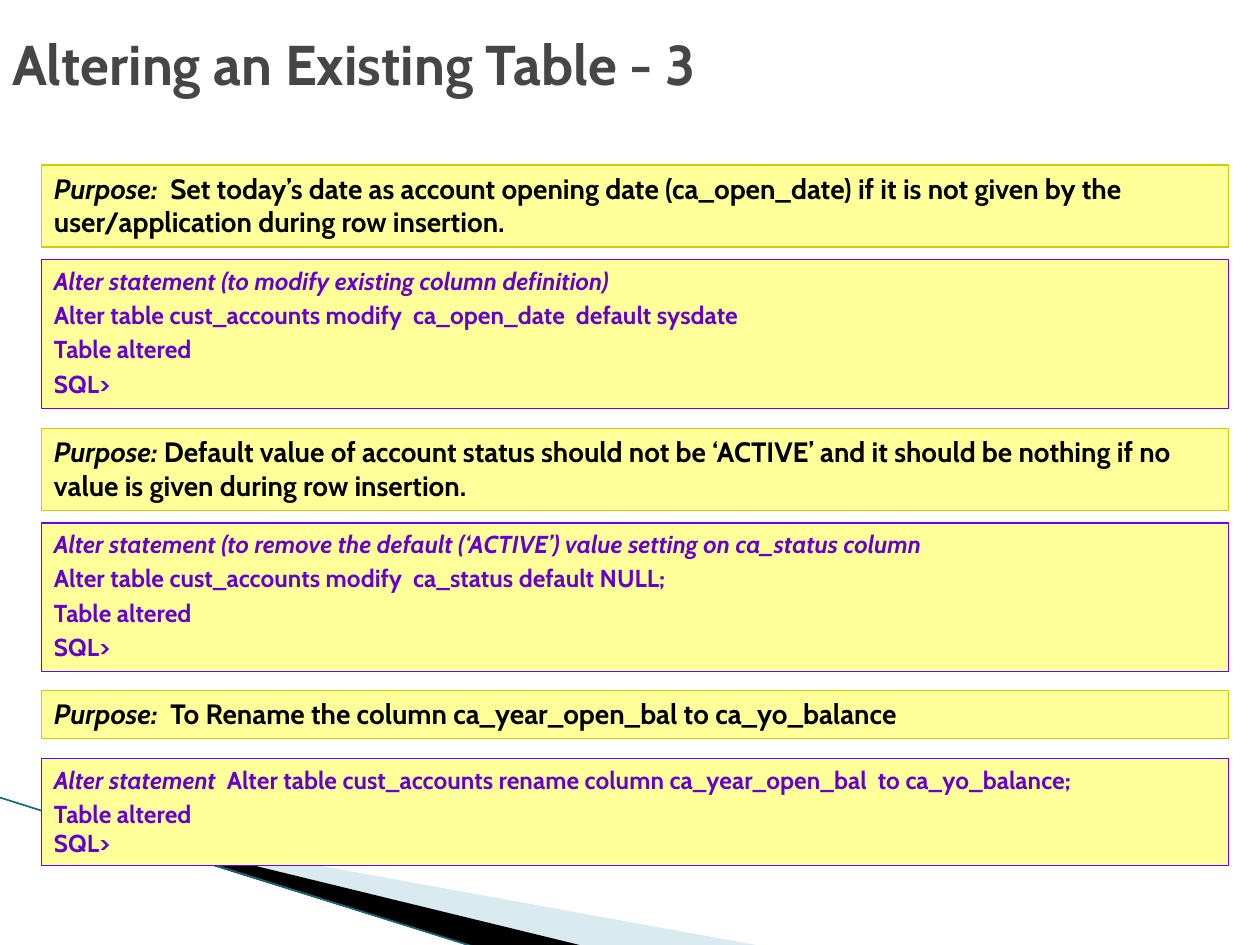
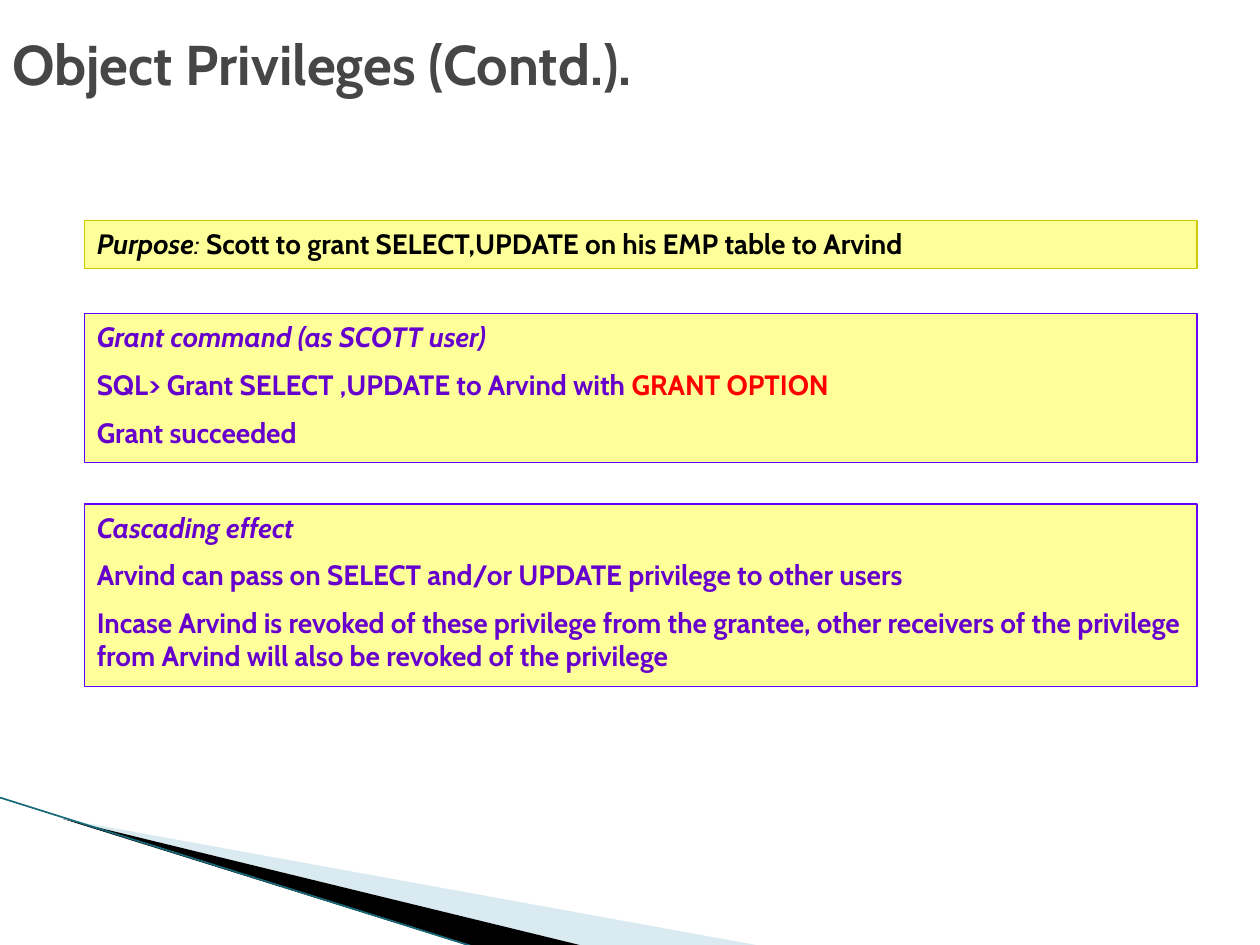
from copy import deepcopy
from dataclasses import dataclass

from lxml import etree
from pptx import Presentation
from pptx.dml.color import RGBColor
from pptx.enum.shapes import MSO_CONNECTOR, MSO_SHAPE
from pptx.enum.text import MSO_ANCHOR, MSO_AUTO_SIZE, PP_ALIGN
from pptx.oxml.ns import qn
from pptx.util import Inches, Pt

STRAIGHT = MSO_CONNECTOR.STRAIGHT
RECTANGLE = MSO_SHAPE.RECTANGLE
MIDDLE, TOP = MSO_ANCHOR.MIDDLE, MSO_ANCHOR.TOP
FIT_SHAPE = MSO_AUTO_SIZE.SHAPE_TO_FIT_TEXT
LEFT = PP_ALIGN.LEFT

SLIDE_WIDTH, SLIDE_HEIGHT = Inches(10), Inches(7.5)
COLUMN, ROW = SLIDE_WIDTH // 100, SLIDE_HEIGHT // 75

FONT = "Cabin"
TITLE_GREY = RGBColor(0x46, 0x46, 0x46)
BLACK = RGBColor(0x00, 0x00, 0x00)
RED = RGBColor(0xFF, 0x00, 0x00)
PALE_YELLOW = RGBColor(0xFF, 0xFF, 0x99)
OLIVE = RGBColor(0xCC, 0xCC, 0x00)
VIOLET = RGBColor(0x66, 0x00, 0xFF)
PURPLE = RGBColor(0x66, 0x00, 0xCC)
PALE_BLUE = RGBColor(0xA0, 0xCB, 0xDC)
TEAL = RGBColor(0x16, 0x69, 0x7A)


@dataclass
class Box:
    """A rectangle in grid columns and rows."""
    left: float
    top: float
    width: float
    height: float

    def lengths(self):
        return [int(value * unit) for value, unit in
                ((self.left, COLUMN), (self.top, ROW), (self.width, COLUMN), (self.height, ROW))]


@dataclass
class PanelStyle:
    border: RGBColor
    text: RGBColor
    size: int
    space_before: float  # share of the text size


@dataclass
class Span:
    text: str
    italic: bool = False
    bold: bool = True
    color: RGBColor = None


PURPOSE = PanelStyle(OLIVE, BLACK, 16, 0.5)
STATEMENT = PanelStyle(VIOLET, PURPLE, 14, 0.2)
EXPLANATION = PanelStyle(VIOLET, PURPLE, 16, 0.5)


def format_run(run, size, color, bold=True, italic=False):
    font = run.font
    font.name, font.size, font.bold, font.italic = FONT, Pt(size), bold, italic
    font.color.rgb = color


def add_spans(paragraph, spans, style):
    """Add formatted runs; a newline in a span becomes a line break."""
    for span in spans:
        for index, line in enumerate(span.text.split("\n")):
            if index:
                paragraph.add_line_break()
                # The break keeps the text size of the line it ends.
                paragraph._p[-1].insert(0, deepcopy(run._r.rPr))
            run = paragraph.add_run()
            run.text = line
            format_run(run, style.size, span.color or style.text, span.bold, span.italic)


def add_panel(slide, box, style, lines):
    shape = slide.shapes.add_shape(RECTANGLE, *box.lengths())
    shape.shadow.inherit = False
    shape.fill.solid()
    shape.fill.fore_color.rgb = PALE_YELLOW
    shape.line.color.rgb = style.border
    shape.line.width = Pt(0.75)

    frame = shape.text_frame
    frame.word_wrap = True
    frame.auto_size = FIT_SHAPE
    frame.vertical_anchor = TOP
    for index, spans in enumerate(lines):
        paragraph = frame.add_paragraph() if index else frame.paragraphs[0]
        paragraph.alignment = LEFT
        if index:
            paragraph.space_before = Pt(style.size * style.space_before)
        add_spans(paragraph, spans, style)


def add_title(slide, title, box):
    text_box = slide.shapes.add_textbox(*box.lengths())
    frame = text_box.text_frame
    frame.word_wrap = True
    frame.vertical_anchor = MIDDLE
    frame.text = title
    format_run(frame.paragraphs[0].runs[0], 32, TITLE_GREY)


def add_wedge(slide, points, color, opacity=100):
    builder = slide.shapes.build_freeform(*points[0], scale=(COLUMN, ROW))
    builder.add_line_segments(points[1:], close=True)
    wedge = builder.convert_to_shape()
    wedge.shadow.inherit = False
    wedge.fill.solid()
    wedge.fill.fore_color.rgb = color
    wedge.line.fill.background()
    if opacity < 100:
        color_element = wedge._element.spPr.find(qn("a:solidFill"))[0]
        etree.SubElement(color_element, qn("a:alpha"), val=str(opacity * 1000))


def add_corner(slide, box):
    """Draw the wedges and the edge line that sweep from the left to the bottom."""
    def place(*shares):
        return [(box.left + x * box.width, box.top + y * box.height) for x, y in shares]

    add_wedge(slide, place((0.09, 0.15), (1, 1), (0.77, 1), (0.09, 0.14)), PALE_BLUE, 40)
    add_wedge(slide, place((0.09, 0.14), (0.77, 1), (0.63, 1), (0.09, 0.14)), BLACK)
    (start_x, start_y), (end_x, end_y) = place((0, 0), (0.63, 1))
    edge = slide.shapes.add_connector(
        STRAIGHT, int(start_x * COLUMN), int(start_y * ROW), int(end_x * COLUMN), int(end_y * ROW))
    edge.line.color.rgb = TEAL
    edge.line.width = Pt(0.95)
    etree.SubElement(edge._element.spPr, qn("a:effectLst"))


def add_base_slide(presentation, title):
    slide = presentation.slides.add_slide(presentation.slide_layouts[6])
    add_corner(slide, Box(0, 63.3, 59.5, 11.8))
    add_title(slide, title, Box(0, 0, 82.7, 10))
    return slide


def add_panels(slide, left, width, panels):
    """Stack panels of equal width, each given as top, height, style and lines."""
    for top, height, style, lines in panels:
        add_panel(slide, Box(left, top, width, height), style, lines)


def build_altering_slide(presentation):
    slide = add_base_slide(presentation, "Altering an Existing Table - 3")
    result = [[Span("Table altered")], [Span("SQL>")]]
    add_panels(slide, 3.3, 94.2, [
        (13.1, 6.5, PURPOSE, [[
            Span("Purpose:  ", italic=True),
            Span("Set today’s date as account opening date (ca_open_date) if it is not given "
                 "by the user/application during row insertion.")]]),
        (20.6, 11.8, STATEMENT, [
            [Span("Alter statement (to modify existing column definition)", italic=True)],
            [Span("Alter table cust_accounts modify  ca_open_date  default sysdate")],
            *result]),
        (34, 6.5, PURPOSE, [[
            Span("Purpose: ", italic=True),
            Span("Default value of account status should not be ‘ACTIVE’ and it should be "
                 "nothing if no value is given during row insertion.")]]),
        (41.5, 11.8, STATEMENT, [
            [Span("Alter statement (to remove the default (‘ACTIVE’) value setting on "
                  "ca_status column", italic=True)],
            [Span("Alter table cust_accounts modify  ca_status default NULL;")],
            *result]),
        (54.8, 3.8, PURPOSE, [[
            Span("Purpose:  ", italic=True),
            Span("To Rename the column ca_year_open_bal to ca_yo_balance")]]),
        (60.2, 8.5, STATEMENT, [
            [Span("Alter statement  ", italic=True),
             Span("Alter table cust_accounts rename column ca_year_open_bal  to ca_yo_balance;")],
            [Span("Table altered\nSQL>")]]),
    ])


def build_privileges_slide(presentation):
    slide = add_base_slide(presentation, "Object Privileges (Contd.).")
    add_panels(slide, 6.7, 88.3, [
        (17.5, 3.8, PURPOSE, [[
            Span("Purpose", italic=True),
            Span(": ", italic=True, bold=False),
            Span("Scott to grant SELECT,UPDATE on his EMP table to Arvind")]]),
        (24.9, 11.8, EXPLANATION, [
            [Span("Grant command (as SCOTT user)", italic=True)],
            [Span("SQL> Grant SELECT ,UPDATE to Arvind with "), Span("GRANT OPTION", color=RED)],
            [Span("Grant succeeded")]]),
        (40, 14.5, EXPLANATION, [
            [Span("Cascading effect", italic=True)],
            [Span("Arvind can pass on SELECT and/or UPDATE privilege to other users")],
            [Span("Incase Arvind is revoked of these privilege from the grantee, other receivers "
                  "of the privilege from Arvind will also be revoked of the privilege")]]),
    ])


def main():
    presentation = Presentation()
    presentation.slide_width, presentation.slide_height = SLIDE_WIDTH, SLIDE_HEIGHT
    build_altering_slide(presentation)
    build_privileges_slide(presentation)
    presentation.save("out.pptx")


if __name__ == "__main__":
    main()
